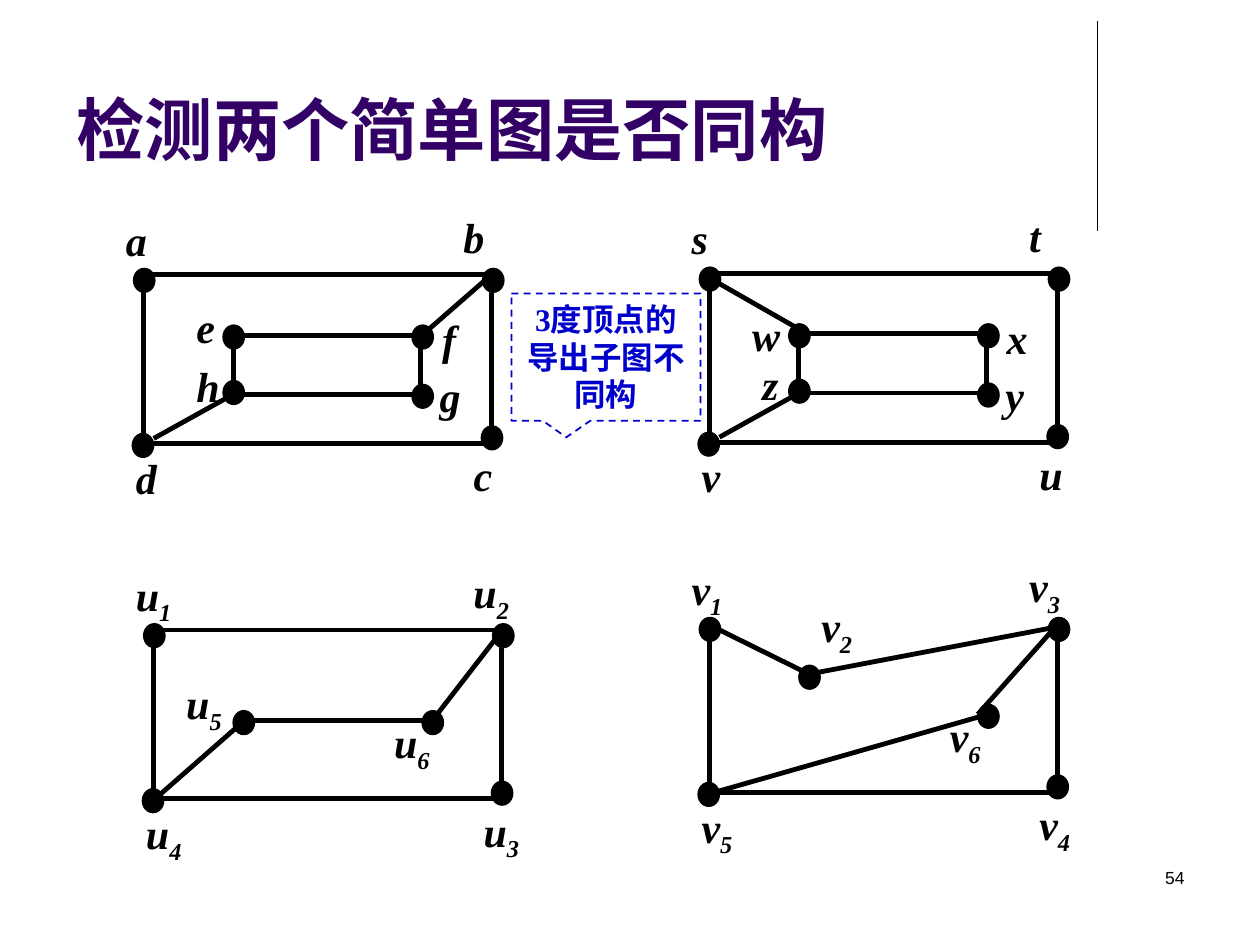
from lxml.etree import SubElement
from pptx import Presentation
from pptx.dml.color import RGBColor
from pptx.enum.dml import MSO_LINE_DASH_STYLE as Dash
from pptx.enum.shapes import MSO_CONNECTOR as Connector, MSO_SHAPE as Shape
from pptx.enum.text import MSO_ANCHOR as Anchor, PP_ALIGN as Align
from pptx.oxml.ns import qn
from pptx.util import Inches, Pt

BLACK, PURPLE, BLUE = "000000", "330066", "0000CC"
SERIF = "Times New Roman"
DOT = (0.17, 0.19)

# All graph positions are relative to the top left dot of the graph
CORNER_DOTS = [(0, 0), (2.77, 0), (2.76, 1.25), (-0.01, 1.31)]
CORNER_LABELS = [(-0.16, -0.48), (2.52, -0.5), (2.6, 1.39), (-0.08, 1.41)]
SIDES = [(2.84, 0.15, 2.84, 1.33), (2.84, 1.39, 0, 1.39), (0.08, 0.15, 0.08, 1.33)]
TOP = (2.92, 0.05, 0.08, 0.05)

INNER_DOTS = [(0.71, 0.45), (2.21, 0.45), (2.21, 0.92), (0.71, 0.89)]
INNER_BOX = [(2.21, 0.53, 0.79, 0.53), (2.21, 1, 0.79, 1),
             (0.79, 0.53, 0.79, 1), (2.28, 0.53, 2.28, 1)]
LOWER_LEFT = (0.79, 1, 0.16, 1.35)

# Each label is (letter, subscript); inner labels add their position
GRAPHS = [
    dict(origin=(1.06, 2.13), corners=["a", "b", "c", "d"], dots=INNER_DOTS,
         edges=[TOP, *INNER_BOX, LOWER_LEFT, (2.29, 0.53, 2.84, 0.05)],
         labels=[("e", 0.4, 0.21), ("f", 2.35, 0.31), ("g", 2.33, 0.76), ("h", 0.4, 0.68)]),
    dict(origin=(5.55, 2.12), corners=["s", "t", "u", "v"], dots=INNER_DOTS,
         edges=[TOP, *INNER_BOX, LOWER_LEFT, (0.77, 0.48, 0.07, 0.08)],
         labels=[("w", 0.32, 0.29), ("x", 2.34, 0.31), ("y", 2.33, 0.76), ("z", 0.4, 0.68)]),
    dict(origin=(1.14, 4.95), corners=["u1", "u2", "u3", "u4"],
         dots=[(0.71, 0.69), (2.21, 0.69)],
         edges=[TOP, (2.29, 0.77, 2.84, 0.06), (0.73, 0.83, 0.08, 1.4),
                (2.21, 0.77, 0.79, 0.77)],
         labels=[("u5", 0.24, 0.38), ("u6", 1.89, 0.69)]),
    dict(origin=(5.55, 4.9), corners=["v1", "v3", "v4", "v5"],
         dots=[(0.79, 0.38), (2.21, 0.69)],
         edges=[(2.29, 0.77, 0.08, 1.4), (2.92, 0.06, 0.87, 0.45),
                (0.87, 0.45, 0.08, 0.06), (2.84, 0.06, 2.21, 0.77)],
         labels=[("v2", 0.87, -0.18), ("v6", 1.89, 0.69)]),
]


def rgb(color):
    return RGBColor.from_string(color)


def write(shape, text, subscript="", size=24, font=SERIF, color=BLACK, bold=False,
          italic=False, align=Align.LEFT, anchor=Anchor.TOP):
    frame = shape.text_frame
    frame.word_wrap = True
    frame.vertical_anchor = anchor
    paragraph = frame.paragraphs[0]
    paragraph.alignment = align
    for part in filter(None, (text, subscript)):
        run = paragraph.add_run()
        run.text = part
        run.font.size, run.font.name = Pt(size), font
        run.font.bold, run.font.italic = bold, italic
        run.font.color.rgb = rgb(color)
        if part is subscript:
            run.font._element.set("baseline", "-25000")


def add_text(shapes, box, text, **style):
    write(shapes.add_textbox(*map(Inches, box)), text, **style)


def add_line(shapes, ends, width):
    line = shapes.add_connector(Connector.STRAIGHT, *map(Inches, ends))
    line.line.color.rgb = rgb(BLACK)
    line.line.width = Pt(width)
    SubElement(line._element.spPr, qn("a:effectLst"))


def add_dot(shapes, left, top):
    dot = shapes.add_shape(Shape.OVAL, *map(Inches, (left, top, *DOT)))
    dot.shadow.inherit = False
    dot.fill.solid()
    dot.fill.fore_color.rgb = rgb(BLACK)
    dot.line.color.rgb = rgb(BLACK)
    dot.line.width = Pt(0.75)


def add_graph(slide, origin, corners, dots, edges, labels):
    shapes = slide.shapes.add_group_shape().shapes
    x, y = origin
    for x1, y1, x2, y2 in SIDES + edges:
        add_line(shapes, (x + x1, y + y1, x + x2, y + y2), 2.75)
    for left, top in CORNER_DOTS + dots:
        add_dot(shapes, x + left, y + top)
    corner_labels = [(name, *place) for name, place in zip(corners, CORNER_LABELS)]
    for name, left, top in corner_labels + labels:
        width = 0.63 if name[1:] else 0.39
        add_text(shapes, (x + left, y + top, width, 0.5), name[0],
                 subscript=name[1:], bold=True, italic=True)


presentation = Presentation()
presentation.slide_width, presentation.slide_height = Inches(10), Inches(7.5)
slide = presentation.slides.add_slide(presentation.slide_layouts[6])

# Title and rule
add_line(slide.shapes, (8.71, 0.17, 8.71, 1.83), 0.75)
add_text(slide.shapes, (0.51, 0.36, 8.25, 1.03), "检测两个简单图是否同构", size=39,
         font="Arial", color=PURPLE, bold=True, anchor=Anchor.BOTTOM)

# Graphs
for graph in GRAPHS:
    add_graph(slide, **graph)

# Callout
callout = slide.shapes.add_shape(Shape.RECTANGULAR_CALLOUT,
                                 *map(Inches, (4.06, 2.33, 1.5, 1.01)))
callout.adjustments[0], callout.adjustments[1] = -0.21, 0.63
callout.shadow.inherit = False
callout.fill.background()
callout.line.color.rgb = rgb(BLUE)
callout.line.width = Pt(1)
callout.line.dash_style = Dash.DASH
write(callout, "3度顶点的导出子图不同构", size=18, color=BLUE, bold=True, align=Align.CENTER)

# Slide number
add_text(slide.shapes, (7.17, 6.83, 2.33, 0.5), "54", size=10, font="Arial",
         align=Align.RIGHT)

presentation.save("out.pptx")
